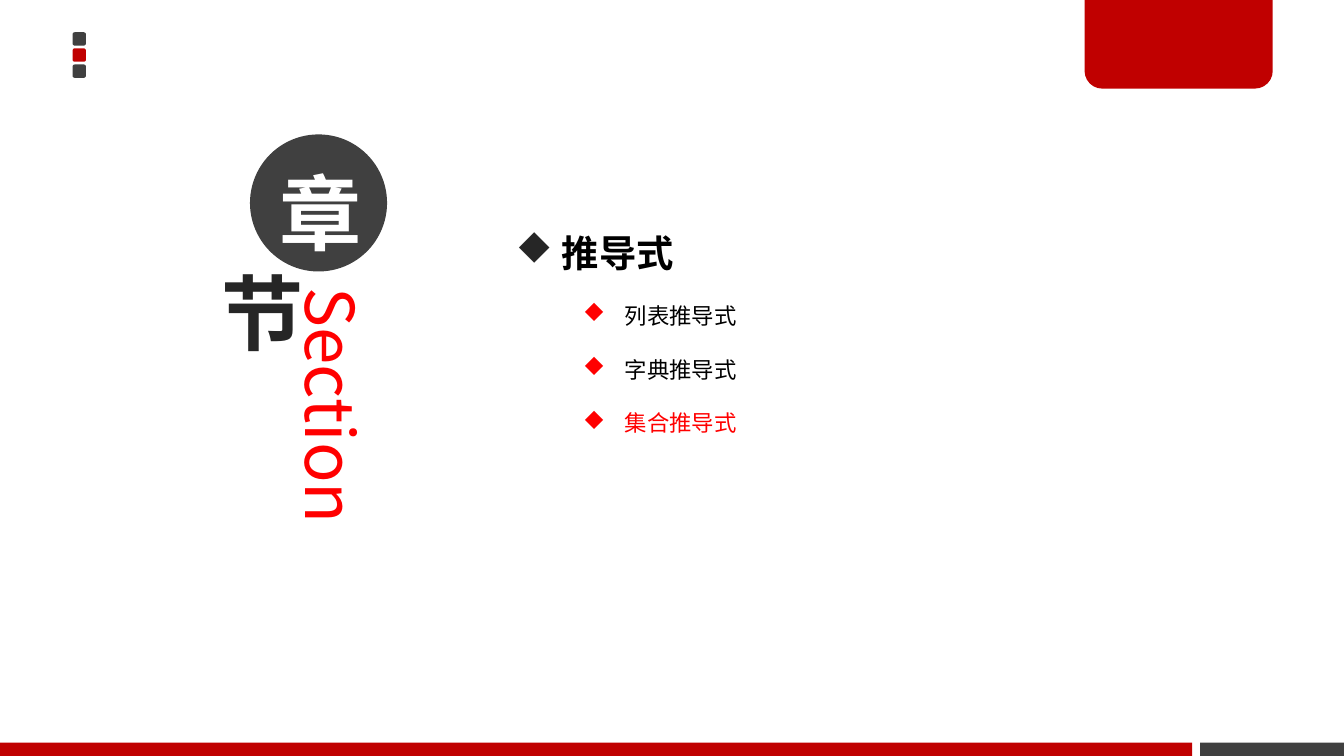
"""Build the section slide about comprehensions."""
from dataclasses import dataclass

from lxml import etree
from pptx import Presentation
from pptx.dml.color import RGBColor
from pptx.enum.shapes import MSO_SHAPE
from pptx.enum.text import MSO_ANCHOR, MSO_AUTO_SIZE, PP_ALIGN
from pptx.oxml.ns import qn
from pptx.util import Inches, Pt

RECTANGLE = MSO_SHAPE.RECTANGLE
ROUNDED = MSO_SHAPE.ROUNDED_RECTANGLE
ROUNDED_PAIR = MSO_SHAPE.ROUND_2_SAME_RECTANGLE
OVAL = MSO_SHAPE.OVAL
MIDDLE = MSO_ANCHOR.MIDDLE
CENTER = PP_ALIGN.CENTER
GROW = MSO_AUTO_SIZE.SHAPE_TO_FIT_TEXT

WIDTH = 10
HEIGHT = WIDTH * 9 / 16
FONT = "Noto Sans CJK SC"
DARK, INK, BRAND, RED = "404040", "262626", "C00000", "FF0000"
WHITE, BLACK = "FFFFFF", "000000"
FOOTER_HEIGHT = 0.1
SQUARE_SIZE, SQUARE_PITCH = 0.1, 0.12


@dataclass
class Block:
    kind: int
    left: float
    top: float
    width: float
    height: float
    color: str | None
    adjustments: tuple[float, ...] = ()


@dataclass
class Item:
    text: str
    size: int
    color: str
    bullet_color: str
    level: int = 0
    bold: bool = False
    margin: float = 0.81
    indent: float = -0.31


BLOCKS = [
    Block(ROUNDED, 0.54, 0.24 + index * SQUARE_PITCH, SQUARE_SIZE, SQUARE_SIZE, color, (0.167,))
    for index, color in enumerate((DARK, BRAND, DARK))
] + [
    Block(RECTANGLE, 8.93, HEIGHT - FOOTER_HEIGHT, WIDTH - 8.93, FOOTER_HEIGHT, DARK),
    Block(ROUNDED_PAIR, 8.07, 0, 1.4, 0.66, BRAND, (0, 0.2)),
    Block(RECTANGLE, 0, HEIGHT - FOOTER_HEIGHT, 8.87, FOOTER_HEIGHT, BRAND),
]
ITEMS = [
    Item(" 推导式", 20, BLACK, INK, bold=True, margin=0.19, indent=-0.19),
    Item("列表推导式", 12, BLACK, RED, level=1),
    Item("字典推导式", 12, BLACK, RED, level=1),
    Item("集合推导式", 12, RED, RED, level=1),
]


def rgb(color: str) -> RGBColor:
    """Turn a hex string into a colour."""
    return RGBColor.from_string(color)


def format_runs(paragraph, size: float, color: str, bold: bool = False) -> None:
    """Give every run of a paragraph its font."""
    for run in paragraph.runs:
        run.font.name = FONT
        run.font.size = Pt(size)
        run.font.bold = bold
        run.font.color.rgb = rgb(color)
        east_asian = etree.SubElement(run.font._element, qn("a:ea"))
        east_asian.set("typeface", FONT)


def set_margins(text_frame, bottom: float = 0.04) -> None:
    """Set the narrow text insets."""
    text_frame.margin_left = text_frame.margin_right = Inches(0.07)
    text_frame.margin_top = Inches(0.04)
    text_frame.margin_bottom = Inches(bottom)


def draw_block(slide, block: Block):
    """Draw a plain shape without outline or shadow."""
    box = map(Inches, (block.left, block.top, block.width, block.height))
    shape = slide.shapes.add_shape(block.kind, *box)
    shape.shadow.inherit = False
    shape.line.fill.background()
    if block.color:
        shape.fill.solid()
        shape.fill.fore_color.rgb = rgb(block.color)
    else:
        shape.fill.background()
    for index, value in enumerate(block.adjustments):
        shape.adjustments[index] = value
    return shape


def draw_character(slide, block: Block, text: str, color: str, bottom: float = 0.04):
    """Draw a circle holding one large character and return its paragraph."""
    text_frame = draw_block(slide, block).text_frame
    set_margins(text_frame, bottom)
    text_frame.vertical_anchor = MIDDLE
    text_frame.text = text
    paragraph = text_frame.paragraphs[0]
    paragraph.alignment = CENTER
    format_runs(paragraph, 44, color, bold=True)
    return paragraph


def draw_vertical_label(slide, text: str) -> None:
    """Draw the label that reads downwards."""
    box = map(Inches, (2.14, 2.1, 0.7, 2.89))
    text_frame = slide.shapes.add_textbox(*box).text_frame
    text_frame.word_wrap = True
    set_margins(text_frame)
    text_frame._txBody.bodyPr.set("vert", "vert")
    text_frame.text = text
    format_runs(text_frame.paragraphs[0], 36, RED)


def add_bullet(paragraph, item: Item) -> None:
    """Give a paragraph its hanging diamond bullet."""
    properties = paragraph._p.get_or_add_pPr()
    properties.set("marL", str(Inches(item.margin)))
    properties.set("indent", str(Inches(item.indent)))
    bullet_color = etree.SubElement(properties, qn("a:buClr"))
    etree.SubElement(bullet_color, qn("a:srgbClr")).set("val", item.bullet_color)
    bullet_font = etree.SubElement(properties, qn("a:buFont"))
    bullet_font.set("typeface", "Wingdings")
    bullet_font.set("charset", "2")
    etree.SubElement(properties, qn("a:buChar")).set("char", "u")


def draw_outline(slide, items: list[Item]) -> None:
    """Draw the topic and its sections as a bulleted list."""
    box = map(Inches, (3.74, 1.33, 5.5, 1.99))
    text_frame = slide.shapes.add_textbox(*box).text_frame
    text_frame.word_wrap = True
    text_frame.auto_size = GROW
    text_frame.text = "\n".join(item.text for item in items)
    for paragraph, item in zip(text_frame.paragraphs, items):
        paragraph.level = item.level
        paragraph.line_spacing = 2.0
        add_bullet(paragraph, item)
        format_runs(paragraph, item.size, item.color, item.bold)


def main() -> None:
    """Build and save the presentation."""
    presentation = Presentation()
    presentation.slide_width = Inches(WIDTH)
    presentation.slide_height = Inches(HEIGHT)
    slide = presentation.slides.add_slide(presentation.slide_layouts[6])
    for block in BLOCKS:
        draw_block(slide, block)
    draw_vertical_label(slide, "Section")
    chapter = draw_character(slide, Block(OVAL, 1.86, 1, 1.02, 1.02, DARK), "章", WHITE, 0.15)
    chapter.line_spacing = Pt(70)
    draw_character(slide, Block(OVAL, 1.46, 1.92, 0.8, 0.8, None), "节", INK)
    draw_outline(slide, ITEMS)
    presentation.save("out.pptx")


main()
